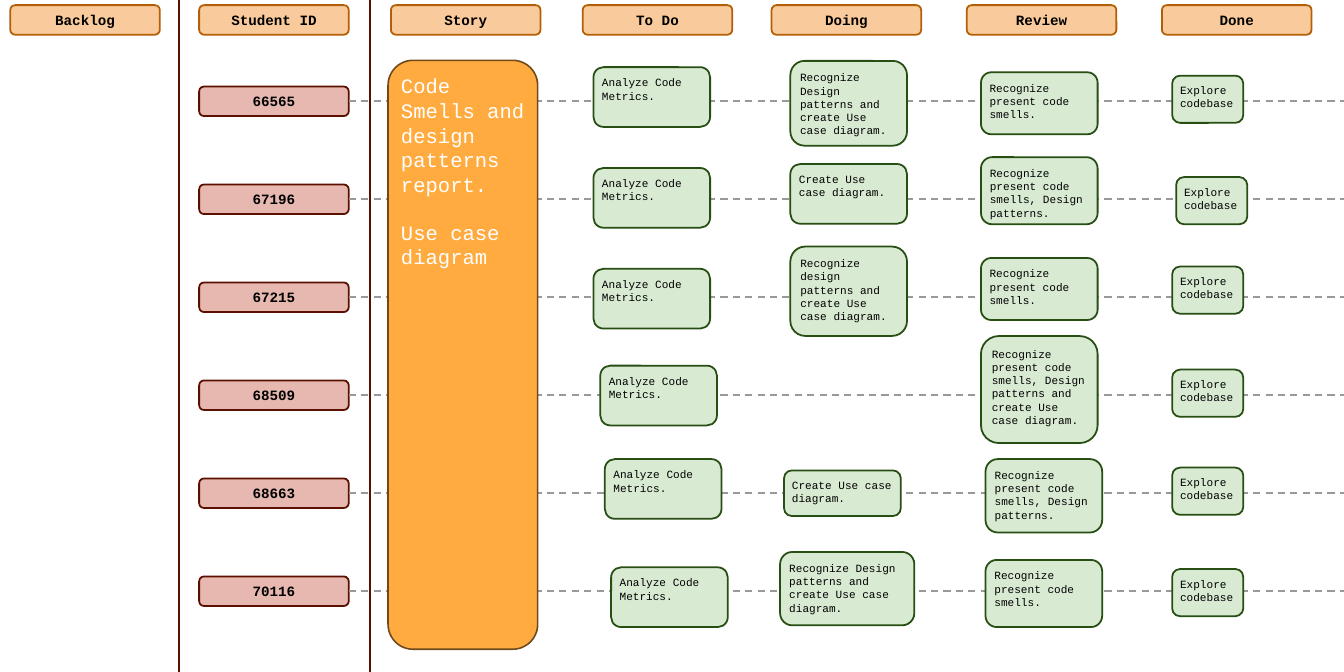
from dataclasses import dataclass

from lxml.etree import SubElement
from pptx import Presentation
from pptx.dml.color import RGBColor
from pptx.enum.dml import MSO_LINE
from pptx.enum.shapes import MSO_CONNECTOR, MSO_SHAPE
from pptx.enum.text import MSO_ANCHOR, PP_ALIGN
from pptx.oxml.ns import qn
from pptx.util import Inches, Pt


@dataclass(frozen=True)
class Theme:
    font: str = "Courier New"
    black: str = "000000"
    white: str = "FFFFFF"
    maroon: str = "5B0F00"
    lane: str = "999999"
    # Each box style: fill, outline, outline width, text colour, text size
    header: tuple = ("F9CB9C", "B45F06", 2.25, black, 18)
    student: tuple = ("E6B8AF", maroon, 2.25, black, 18)
    story: tuple = ("FFAB40", "6F4A1C", 2, white, 26)
    card: tuple = ("D9EAD3", "274E13", 2.25, black, 14)


theme = Theme()
WIDTH, HEIGHT = 23.62, 11.81
LABEL_WIDTH, LABEL_HEIGHT = 2.63, 0.52
FIRST_LANE, LANE_PITCH = 1.78, 1.72

deck = Presentation()
deck.slide_width, deck.slide_height = Inches(WIDTH), Inches(HEIGHT)
page = deck.slides.add_slide(deck.slide_layouts[6])


def add_box(left, top, width, height, style, *texts, label=False):
    """Add a rounded box with one paragraph per text; labels are bold and centred."""
    fill, outline, line_width, color, size = style
    box = page.shapes.add_shape(
        MSO_SHAPE.ROUNDED_RECTANGLE, *map(Inches, (left, top, width, height)))
    box.shadow.inherit = False
    box.fill.solid()
    box.fill.fore_color.rgb = RGBColor.from_string(fill)
    box.line.color.rgb = RGBColor.from_string(outline)
    box.line.width = Pt(line_width)
    frame = box.text_frame
    frame.word_wrap = True
    frame.margin_left = frame.margin_right = Inches(0.1)
    frame.margin_top = frame.margin_bottom = Inches(0.1)
    frame.vertical_anchor = MSO_ANCHOR.MIDDLE if label else MSO_ANCHOR.TOP
    for index, text in enumerate(texts):
        para = frame.add_paragraph() if index else frame.paragraphs[0]
        para.text = text
        para.alignment = PP_ALIGN.CENTER if label else PP_ALIGN.LEFT
        if index:
            para.space_before = Pt(1.13 * size)
        para.font.name, para.font.size, para.font.bold = theme.font, Pt(size), label
        para.font.color.rgb = RGBColor.from_string(color)


def add_rule(x1, y1, x2, y2, color, width):
    rule = page.shapes.add_connector(
        MSO_CONNECTOR.STRAIGHT, *map(Inches, (x1, y1, x2, y2)))
    rule.line.color.rgb = RGBColor.from_string(color)
    rule.line.width = Pt(width)
    SubElement(rule._element.spPr, qn("a:effectLst"))
    return rule


columns = {"Backlog": 0.18, "Student ID": 3.5, "Story": 6.87, "To Do": 10.24,
           "Doing": 13.56, "Review": 16.99, "Done": 20.42}
students = ["66565", "67196", "67215", "68509", "68663", "70116"]
lanes = [FIRST_LANE + LANE_PITCH * row + 0.002 * row for row in range(len(students))]

for divider in (3.15, 6.5):
    add_rule(divider, 0, divider, HEIGHT, theme.maroon, 3)

for title, left in columns.items():
    add_box(left, 0.09, LABEL_WIDTH, LABEL_HEIGHT, theme.header, title, label=True)

for student, lane in zip(students, lanes):
    left = columns["Student ID"]
    add_box(left, lane - LABEL_HEIGHT / 2, LABEL_WIDTH, LABEL_HEIGHT,
            theme.student, student, label=True)
    lane_rule = add_rule(left + LABEL_WIDTH, lane, WIDTH, lane, theme.lane, 2.25)
    lane_rule.line.dash_style = MSO_LINE.DASH

add_box(columns["Story"] - 0.05, 1.06, LABEL_WIDTH, 10.35, theme.story,
        "Code Smells and design patterns report.", "Use case diagram")

analyze = "Analyze Code Metrics."
create = "Create Use case diagram."
design = "Recognize Design patterns and create Use case diagram."
smells = "Recognize present code smells."
smells_design = "Recognize present code smells, Design patterns."
smells_all = "Recognize present code smells, Design patterns and create Use case diagram."
explore = "Explore codebase"

# Cards per lane: shift from the column's left, rise above the lane, width, height, text
cards = {
    "To Do": [(0.19, 0.6, 2.05, 1.05, analyze), (0.19, 0.55, 2.05, 1.05, analyze),
              (0.19, 0.5, 2.05, 1.05, analyze), (0.31, 0.52, 2.05, 1.05, analyze),
              (0.39, 0.6, 2.05, 1.05, analyze), (0.5, 0.42, 2.05, 1.05, analyze)],
    "Doing": [(0.33, 0.71, 2.05, 1.49, design), (0.33, 0.62, 2.05, 1.05, create),
              (0.33, 0.89, 2.05, 1.57, design.replace("Design", "design")), None,
              (0.22, 0.4, 2.05, 0.8, create), (0.15, 0.69, 2.36, 1.29, design)],
    "Review": [(0.25, 0.51, 2.05, 1.09, smells), (0.25, 0.74, 2.05, 1.18, smells_design),
               (0.25, 0.69, 2.05, 1.09, smells), (0.25, 1.04, 2.05, 1.88, smells_all),
               (0.33, 0.6, 2.05, 1.29, smells_design), (0.33, 0.55, 2.05, 1.18, smells)],
    "Done": [(0.18, 0.45, 1.25, 0.83, explore), (0.25, 0.39, 1.25, 0.83, explore),
             (0.18, 0.54, 1.25, 0.83, explore), (0.18, 0.45, 1.25, 0.83, explore),
             (0.18, 0.45, 1.25, 0.83, explore), (0.18, 0.39, 1.25, 0.83, explore)],
}
for title, column_cards in cards.items():
    for lane, card in zip(lanes, column_cards):
        if card:
            shift, rise, width, height, text = card
            add_box(columns[title] + shift, lane - rise, width, height, theme.card, text)

deck.save("out.pptx")
